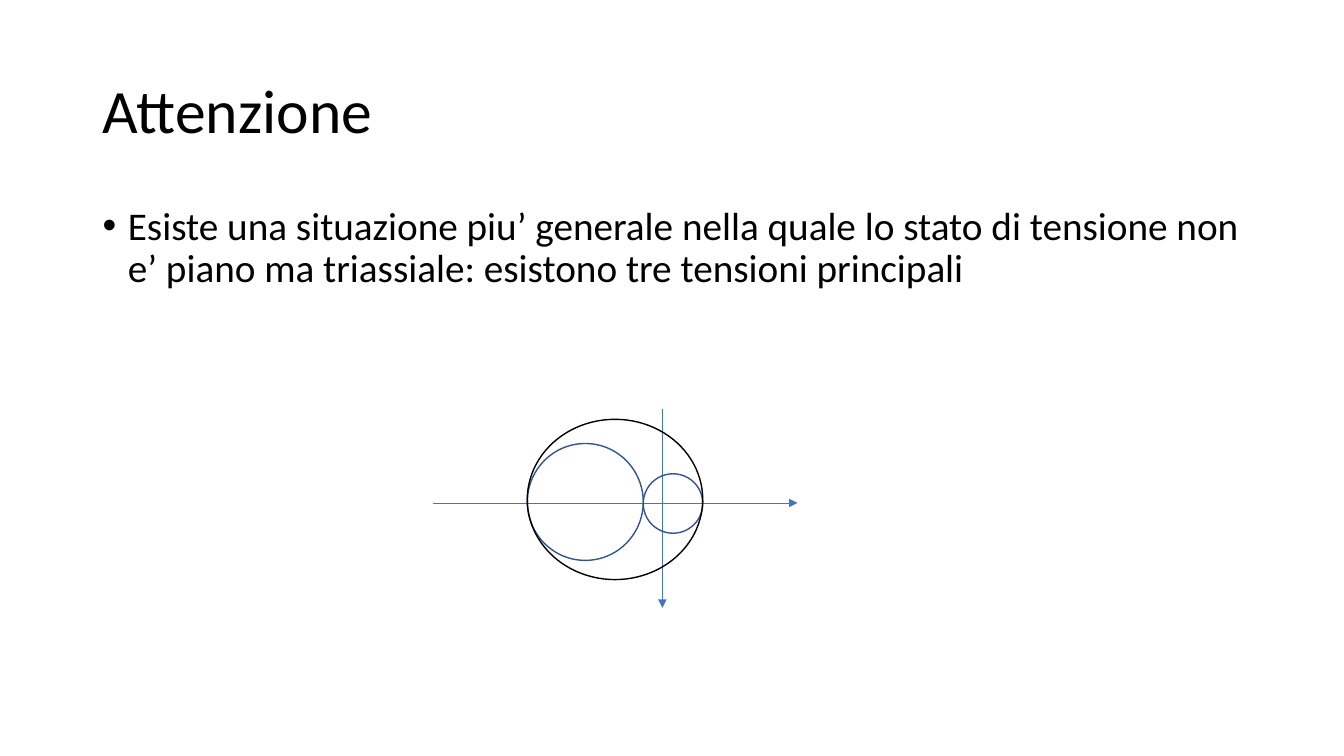
from lxml import etree
from pptx import Presentation
from pptx.dml.color import RGBColor
from pptx.enum.shapes import MSO_CONNECTOR, MSO_SHAPE
from pptx.enum.text import MSO_ANCHOR
from pptx.oxml.ns import qn
from pptx.util import Inches, Pt

COLORS = {"text": "000000", "axis": "4472C4", "inner": "325491", "outer": "000000"}


def rgb(name):
    return RGBColor.from_string(COLORS[name])


def add_text(s, box, text, size, anchor):
    tb = s.shapes.add_textbox(*map(Inches, box))
    tf = tb.text_frame
    tf.word_wrap = True
    tf.vertical_anchor = anchor
    p = tf.paragraphs[0]
    p.line_spacing = 0.9
    r = p.add_run()
    r.text = text
    for key, value in {"name": "Calibri", "size": Pt(size)}.items():
        setattr(r.font, key, value)
    r.font.color.rgb = rgb("text")
    return p


def add_title(s, box, text):
    add_text(s, box, text, 44, MSO_ANCHOR.MIDDLE)


def add_body(s, box, text):
    p = add_text(s, box, text, 28, MSO_ANCHOR.TOP)
    pPr = p._p.get_or_add_pPr()
    pPr.set("marL", str(Inches(0.25)))
    pPr.set("indent", str(Inches(-0.25)))
    etree.SubElement(pPr, qn("a:buFont")).set("typeface", "Arial")
    etree.SubElement(pPr, qn("a:buChar")).set("char", "•")


def add_axis(s, x1, y1, x2, y2):
    axis = s.shapes.add_connector(MSO_CONNECTOR.STRAIGHT, *map(Inches, (x1, y1, x2, y2)))
    axis.line.color.rgb = rgb("axis")
    axis.line.width = Pt(0.5)
    etree.SubElement(axis.line._get_or_add_ln(), qn("a:tailEnd")).set("type", "triangle")
    etree.SubElement(axis._element.spPr, qn("a:effectLst"))


def add_circle(s, box, color):
    circle = s.shapes.add_shape(MSO_SHAPE.OVAL, *map(Inches, box))
    circle.shadow.inherit = False
    circle.fill.background()
    circle.line.color.rgb = rgb(color)
    circle.line.width = Pt(1)


def add_mohr_circles(s, box):
    """Draw the two stress axes and the three tangent Mohr circles."""
    x, y, w, h = box
    axis_y, axis_x = y + 0.93, x + 2.28
    add_axis(s, x, axis_y, x + w, axis_y)
    add_axis(s, axis_x, y, axis_x, y + h)

    left, large, small = x + 0.94, 1.15, 0.59
    add_circle(s, (left + large, y + 0.64, small, small), "inner")
    add_circle(s, (left, y + 0.34, large, 1.16), "inner")
    add_circle(s, (left, y + 0.1, large + small, 1.59), "outer")


def main():
    prs = Presentation()
    prs.slide_width, prs.slide_height = Inches(13.33), Inches(7.5)
    s = prs.slides.add_slide(prs.slide_layouts[6])
    add_title(s, (0.92, 0.4, 11.5, 1.45), "Attenzione")
    add_body(s, (0.92, 2, 11.5, 4.76),
             "Esiste una situazione piu’ generale nella quale lo stato di tensione "
             "non e’ piano ma triassiale: esistono tre tensioni principali")
    add_mohr_circles(s, (4.29, 4.06, 3.62, 1.97))
    prs.save("out.pptx")


if __name__ == "__main__":
    main()
